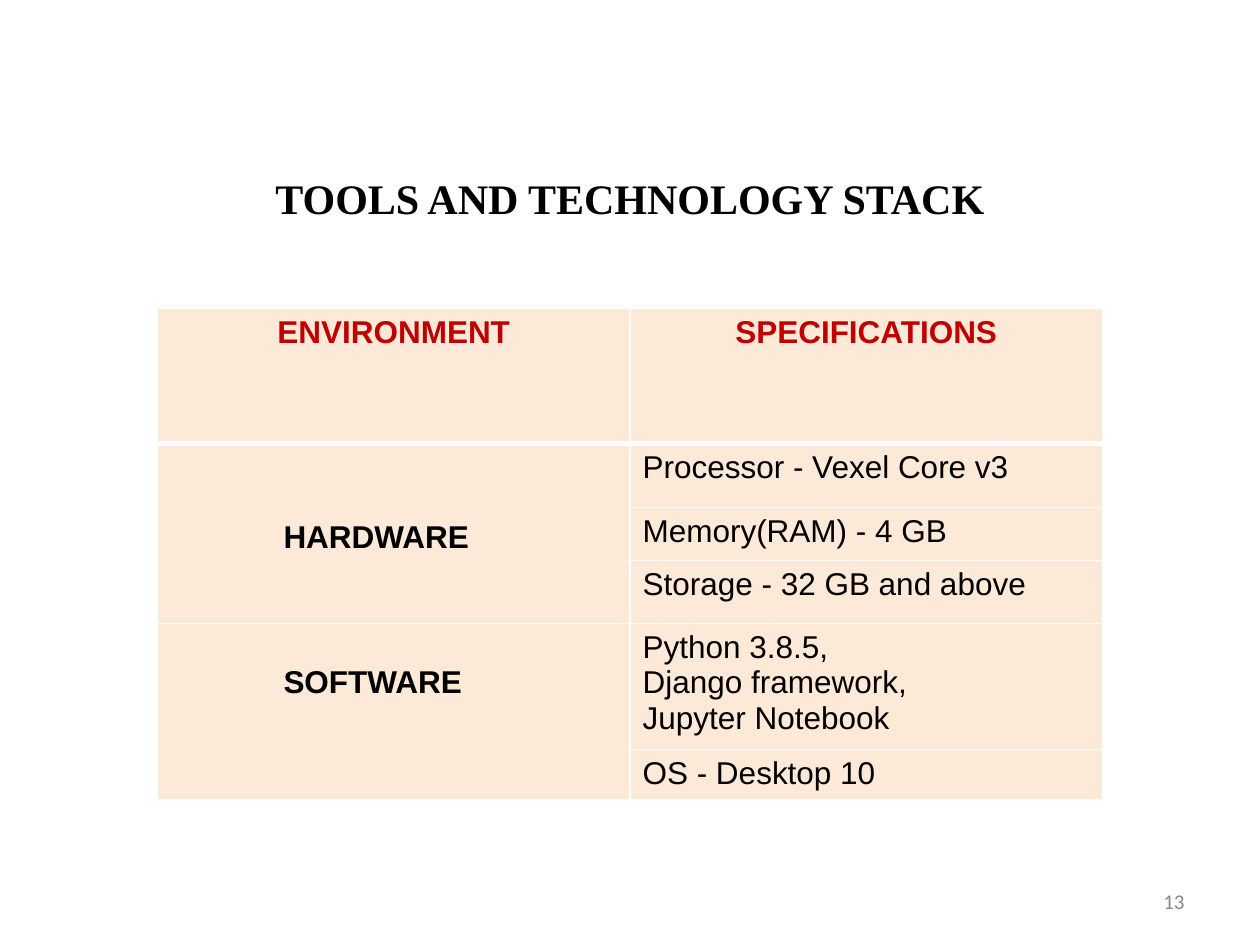
import dataclasses

import pptx
import pptx.dml.color
import pptx.enum.text
import pptx.oxml
import pptx.oxml.ns
import pptx.util

ALIGN = pptx.enum.text.PP_ALIGN
ANCHOR = pptx.enum.text.MSO_ANCHOR


@dataclasses.dataclass(frozen=True)
class Theme:
    ink: str = "000000"
    heading: str = "C00000"
    muted: str = "888888"
    cell: str = "FDE9D8"
    rule: str = "FFFFFF"
    title_font: str = "Times New Roman"
    table_font: str = "Arial"
    number_font: str = "Calibri"
    title_size: int = 24
    table_size: int = 18
    number_size: int = 12
    thin: int = 1
    thick: int = 3


class SlideBuilder:
    unit = 0.25

    def __init__(self, deck, theme):
        self.theme = theme
        self.page = deck.slides.add_slide(deck.slide_layouts[6])

    def grid(self, *steps):
        return [pptx.util.Inches(step * self.unit) for step in steps]

    def fill_text(self, frame, lines, font, size, color, bold=False, align=ALIGN.LEFT):
        frame.word_wrap = True
        for index, line in enumerate(lines):
            para = frame.add_paragraph() if index else frame.paragraphs[0]
            para.text = line
            para.alignment = align
            para.font.name = font
            para.font.size = pptx.util.Pt(size)
            para.font.bold = bold
            para.font.color.rgb = pptx.dml.color.RGBColor.from_string(color)

    def text(self, area, line, font, size, color, top_inset=0.05, **style):
        frame = self.page.shapes.add_textbox(*self.grid(*area)).text_frame
        frame.vertical_anchor = ANCHOR.MIDDLE
        frame.margin_top = pptx.util.Inches(top_inset)
        self.fill_text(frame, [line], font, size, color, **style)

    def borders(self, cell, bottom):
        properties = cell._tc.get_or_add_tcPr()
        widths = {"lnL": self.theme.thin, "lnR": self.theme.thin,
                  "lnT": self.theme.thin, "lnB": bottom}
        for index, (side, width) in enumerate(widths.items()):
            properties.insert(index, pptx.oxml.parse_xml(
                f'<a:{side} {pptx.oxml.ns.nsdecls("a")} w="{pptx.util.Pt(width)}">'
                f'<a:solidFill><a:srgbClr val="{self.theme.rule}"/></a:solidFill></a:{side}>'))

    def table(self, area, heights, headings, groups):
        theme = self.theme
        table = self.page.shapes.add_table(
            len(heights), len(headings), *self.grid(*area)).table
        for row, height in zip(table.rows, heights):
            row.height = pptx.util.Inches(height)
        for index, row in enumerate(table.rows):
            for cell in row.cells:
                cell.fill.solid()
                cell.fill.fore_color.rgb = pptx.dml.color.RGBColor.from_string(theme.cell)
                self.borders(cell, theme.thin if index else theme.thick)
        for column, heading in enumerate(headings):
            self.fill_text(table.cell(0, column).text_frame, [heading], theme.table_font,
                           theme.table_size, theme.heading, bold=True, align=ALIGN.CENTER)
        first = 1
        for name, top_inset, entries in groups:
            label = table.cell(first, 0)
            label.merge(table.cell(first + len(entries) - 1, 0))
            label.margin_left = pptx.util.Inches(1)
            label.margin_top = pptx.util.Inches(top_inset)
            self.fill_text(label.text_frame, [name], theme.table_font,
                           theme.table_size, theme.ink, bold=True)
            for offset, lines in enumerate(entries):
                self.fill_text(table.cell(first + offset, 1).text_frame, lines,
                               theme.table_font, theme.table_size, theme.ink)
            first += len(entries)


def main():
    deck = pptx.Presentation()
    deck.slide_width = pptx.util.Inches(10)
    deck.slide_height = pptx.util.Inches(7.5)
    theme = Theme()
    slide = SlideBuilder(deck, theme)
    slide.text((2, 1.2, 36, 6.8), "TOOLS AND TECHNOLOGY STACK", theme.title_font,
               theme.title_size, theme.ink, top_inset=0.89, bold=True, align=ALIGN.CENTER)
    slide.table(
        (5, 9.8, 30, 15.2),
        [1.07, 0.51, 0.42, 0.5, 0.94, 0.38],
        ["ENVIRONMENT", "SPECIFICATIONS"],
        [("HARDWARE", 0.61, [["Processor - Vexel Core v3"],
                             ["Memory(RAM) - 4 GB"],
                             ["Storage - 32 GB and above"]]),
         ("SOFTWARE", 0.33, [["Python 3.8.5,", "Django framework,", "Jupyter Notebook"],
                             ["OS - Desktop 10"]])])
    slide.text((28.68, 27.8, 9.32, 1.6), "13", theme.number_font,
               theme.number_size, theme.muted, align=ALIGN.RIGHT)
    deck.save("out.pptx")


if __name__ == "__main__":
    main()
